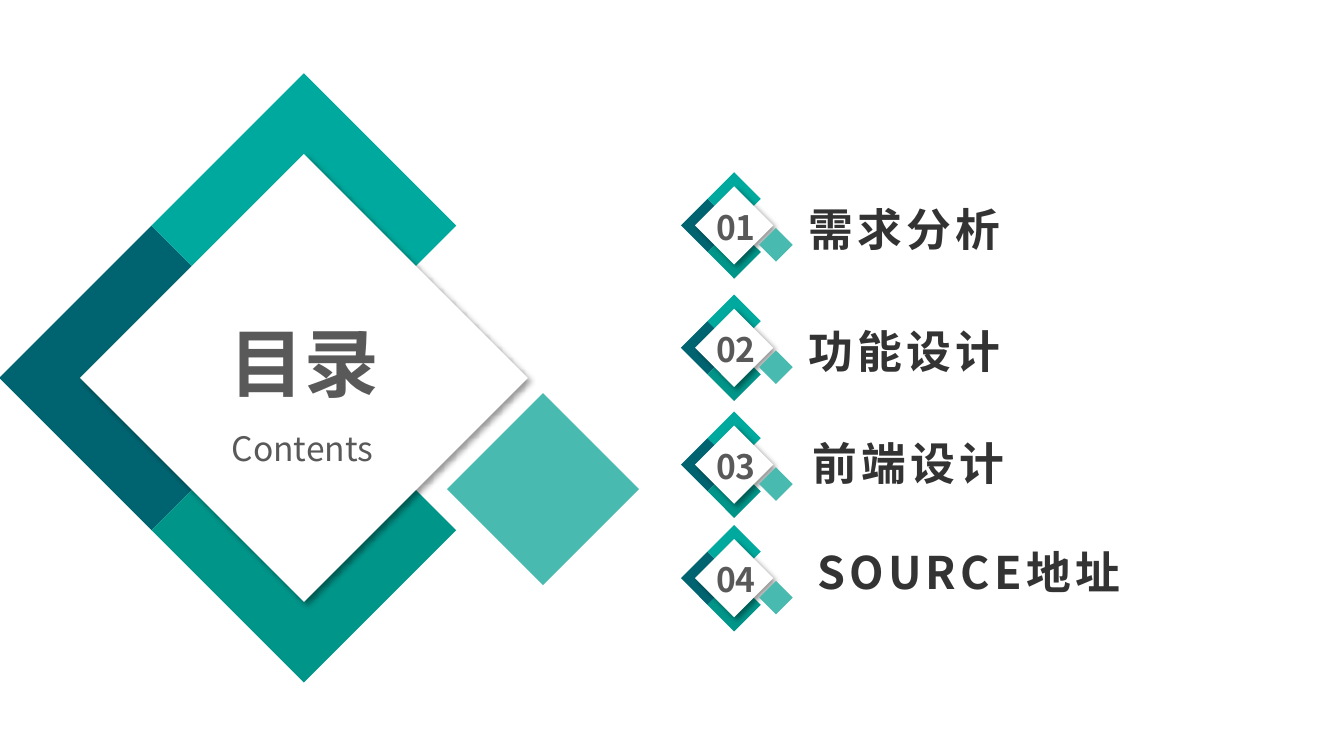
from dataclasses import dataclass

from lxml import etree
from pptx import Presentation
from pptx import util as u
from pptx.dml.color import RGBColor
from pptx.enum import shapes, text
from pptx.oxml import ns
from pptx.shapes.group import GroupShape


@dataclass(frozen=True)
class Theme:
    face: str = "Noto Sans CJK SC"
    navy: str = "006470"
    teal: str = "00A99D"
    green: str = "009589"
    mint: str = "49BAAF"
    white: str = "FFFFFF"
    shade: str = "000000"
    gray: str = "595959"
    dark: str = "333333"
    title: float = 53.3
    label: float = 32
    small: float = 24


@dataclass(frozen=True)
class Tile:
    x: float
    y: float
    half: float
    color: str
    raised: bool = False


@dataclass(frozen=True)
class Box:
    words: str
    x: float
    y: float
    w: float
    h: float
    size: float
    color: str
    bold: bool = True
    center: bool = True
    track: float = 0
    low: bool = False


@dataclass(frozen=True)
class Entry:
    words: str
    mid: float
    x: float
    y: float


LOOK = Theme()

TILES = (
    Tile(-1, 0, 1, LOOK.navy),
    Tile(0, -1, 1, LOOK.teal),
    Tile(0, 1, 1, LOOK.green),
    Tile(0, 0, 1.47, LOOK.white, True),
    Tile(1.57, 0.73, 0.63, LOOK.mint),
)

ENTRIES = (
    Entry("需求分析", 161, 570.2, 140.4),
    Entry("功能设计", 248.4, 570.2, 228),
    Entry("前端设计", 331.9, 573.3, 307.4),
    Entry("SOURCE地址", 413, 576.7, 385.2),
)


def raise_up(shape) -> None:
    glow = etree.SubElement(shape._element.spPr, ns.qn("a:effectLst"))
    drop = etree.SubElement(
        glow, ns.qn("a:outerShdw"), blurRad=str(u.Pt(4)), dist=str(u.Pt(3)),
        dir="2700000", algn="tl", rotWithShape="0")
    tint = etree.SubElement(drop, ns.qn("a:srgbClr"), val=LOOK.shade)
    etree.SubElement(tint, ns.qn("a:alpha"), val="40000")


def draw_emblem(group: GroupShape, x: float, y: float, arm: float) -> None:
    for tile in TILES:
        half = tile.half * arm
        shape = group.shapes.add_shape(
            shapes.MSO_SHAPE.DIAMOND,
            u.Pt(x + tile.x * arm - half), u.Pt(y + tile.y * arm - half),
            u.Pt(2 * half), u.Pt(2 * half))
        shape.fill.solid()
        shape.fill.fore_color.rgb = RGBColor.from_string(tile.color)
        shape.line.fill.background()
        if tile.raised:
            raise_up(shape)
        else:
            shape.shadow.inherit = False


def draw_text(group: GroupShape, box: Box) -> None:
    shape = group.shapes.add_textbox(
        u.Pt(box.x), u.Pt(box.y), u.Pt(box.w), u.Pt(box.h))
    frame = shape.text_frame
    frame.word_wrap = True
    if box.low:
        frame.vertical_anchor = text.MSO_ANCHOR.BOTTOM
        frame.margin_left = frame.margin_right = u.Pt(0)
        frame.margin_top = frame.margin_bottom = u.Pt(0)
    para = frame.paragraphs[0]
    para.text = box.words
    para.alignment = text.PP_ALIGN.CENTER if box.center else text.PP_ALIGN.LEFT
    font = para.font
    font.name = LOOK.face
    font.size = u.Pt(box.size)
    font.bold = box.bold
    font.color.rgb = RGBColor.from_string(box.color)
    props = para._p.pPr.find(ns.qn("a:defRPr"))
    etree.SubElement(props, ns.qn("a:ea"), typeface=LOOK.face)
    if box.track:
        props.set("spc", str(int(box.track * 100)))


def main() -> None:
    deck = Presentation()
    deck.slide_width, deck.slide_height = u.Pt(960), u.Pt(540)
    slide = deck.slides.add_slide(deck.slide_layouts[6])

    cover = slide.shapes.add_group_shape()
    draw_emblem(cover, 217.1, 270, 108.8)
    draw_text(cover, Box("Contents", 126.7, 283, 178.6, 51.1, LOOK.small,
                         LOOK.gray, bold=False, low=True))
    draw_text(cover, Box("目录", 128.2, 222.5, 178.6, 91.4, LOOK.title,
                         LOOK.gray))

    for num, entry in enumerate(ENTRIES, 1):
        row = slide.shapes.add_group_shape()
        draw_emblem(row, 524.4, entry.mid, 19)
        draw_text(row, Box(f"{num:02}", 499, entry.mid - 17, 53.3, 27.4,
                           LOOK.small, LOOK.gray))
        draw_text(row, Box(entry.words, entry.x, entry.y, 373, 46, LOOK.label,
                           LOOK.dark, center=False, track=3))

    deck.save("out.pptx")


if __name__ == "__main__":
    main()
